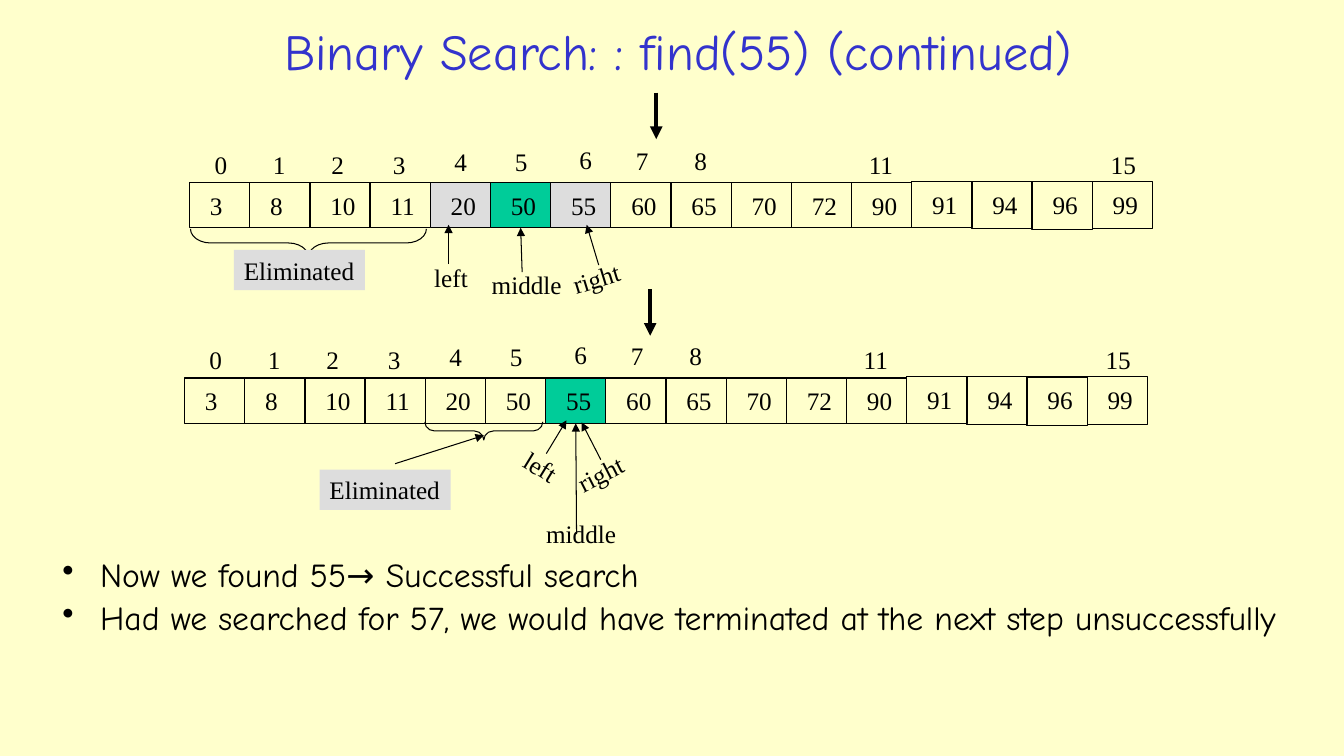
from lxml import etree
from pptx import Presentation
from pptx import util as u
from pptx.dml.color import RGBColor
from pptx.enum import shapes, text
from pptx.oxml.ns import qn

INK, PAPER, TITLE, GREY, GREEN = "000000", "FFFFCC", "3333CC", "DDDDDD", "00CC99"
VALUES = [3, 8, 10, 11, 20, 50, 55, 60, 65, 70, 72, 90, 91, 94, 96, 99]
INDEXES = {0: (1.5, -3.8), 1: (7.3, -3.8), 2: (13.1, -3.8), 3: (19.2, -3.8),
           4: (25.3, -4.1), 5: (31.3, -4.1), 6: (37.7, -4.3), 7: (43.3, -4.2),
           8: (49.1, -4.2), 11: (66.4, -3.8), 15: (90.4, -3.8)}
LAST_HEIGHTS = {12: 4.6, 13: 4.7, 14: 4.8, 15: 4.7}
PITCH = 5.97


def rgb(hex_colour):
    """Turn a hex string into a colour."""
    return RGBColor.from_string(hex_colour)


class Deck:
    """Style and current slide, on a grid of ten columns and rows to the inch."""

    serif, hand, unit = "Times New Roman", "Comic Neue", u.Inches(0.1)

    def __init__(self):
        """Open a presentation with one blank slide."""
        self.prs = Presentation()
        self.prs.slide_width, self.prs.slide_height = self.grid(133.33, 75)
        self.s = self.prs.slides.add_slide(self.prs.slide_layouts[6])
        self.s.background.fill.solid()
        self.s.background.fill.fore_color.rgb = rgb(PAPER)

    def grid(self, *counts):
        """Turn columns and rows into lengths."""
        return [u.Emu(round(n * self.unit)) for n in counts]

    def run(self, p, words, size, font, colour):
        """Add a styled run to a paragraph."""
        r = p.add_run()
        r.text = words
        r.font.size, r.font.name = u.Pt(size), font
        r.font.color.rgb = rgb(colour)

    def shape(self, kind, x, y, w, h, fill=None):
        """Add a thinly outlined preset shape."""
        sp = self.s.shapes.add_shape(kind, *self.grid(x, y, w, h))
        sp.shadow.inherit = False
        sp.line.color.rgb, sp.line.width = rgb(INK), u.Pt(0.75)
        if fill:
            sp.fill.solid()
            sp.fill.fore_color.rgb = rgb(fill)
        else:
            sp.fill.background()
        return sp

    def brace(self, x, y, w, h, bend):
        """Add a brace that points down."""
        sp = self.shape(shapes.MSO_SHAPE.LEFT_BRACE, x, y, w, h)
        sp.rotation = 270
        sp.adjustments[0] = bend

    def label(self, words, x, y, w, fill=None, turn=0):
        """Add a one-line label."""
        sp = self.s.shapes.add_textbox(*self.grid(x, y, w, 4))
        sp.rotation = turn
        if fill:
            sp.fill.solid()
            sp.fill.fore_color.rgb = rgb(fill)
        tf = sp.text_frame
        tf.word_wrap = False
        tf.auto_size = text.MSO_AUTO_SIZE.SHAPE_TO_FIT_TEXT
        self.run(tf.paragraphs[0], words, 18, self.serif, INK)

    def number(self, n, x, y, fill=None):
        """Add a number label sized by its digits."""
        self.label(str(n), x, y, 3.3 if n < 10 else 4.5, fill)

    def arrow(self, x1, y1, x2, y2, width=0.75, target=None):
        """Add an arrow, joined to the underside of a target if given."""
        c = self.s.shapes.add_connector(shapes.MSO_CONNECTOR.STRAIGHT, *self.grid(x1, y1, x2, y2))
        c.line.color.rgb, c.line.width = rgb(INK), u.Pt(width)
        etree.SubElement(c.line._get_or_add_ln(), qn("a:tailEnd"), type="triangle")
        etree.SubElement(c._element.spPr, qn("a:effectLst"))
        if target is not None:
            c.end_connect(target, 2)

    def array(self, x, y, fills):
        """Add the array with its indexes and return the cells."""
        cells = []
        for i, value in enumerate(VALUES):
            left, top = x + i * PITCH, y - 0.1 * (i in LAST_HEIGHTS)
            fill = fills.get(i)
            cells.append(self.shape(shapes.MSO_SHAPE.RECTANGLE, left, top, 6,
                                    LAST_HEIGHTS.get(i, 4.5), fill))
            self.number(value, left + 1.05, top + 0.25, fill)
        for i, (dx, dy) in INDEXES.items():
            self.number(i, x + dx, y + dy)
        return cells

    def title(self, words, x, y, w, h):
        """Add the centred title."""
        tf = self.s.shapes.add_textbox(*self.grid(x, y, w, h)).text_frame
        tf.word_wrap, tf.vertical_anchor = True, text.MSO_ANCHOR.MIDDLE
        p = tf.paragraphs[0]
        p.alignment = text.PP_ALIGN.CENTER
        self.run(p, words, 36, self.hand, TITLE)

    def bullets(self, lines, x, y, w, h):
        """Add a bulleted list."""
        tf = self.s.shapes.add_textbox(*self.grid(x, y, w, h)).text_frame
        tf.word_wrap = True
        for i, words in enumerate(lines):
            p = tf.add_paragraph() if i else tf.paragraphs[0]
            pPr = p._p.get_or_add_pPr()
            indent = self.grid(3.75)[0]
            pPr.set("marL", str(indent))
            pPr.set("indent", str(-indent))
            etree.SubElement(pPr, qn("a:buChar"), char="•")
            p.line_spacing = 0.9
            p.space_before = u.Pt(4.8 if i else 0)
            self.run(p, words, 24, self.hand, INK)


def main():
    """Build the slide."""
    d = Deck()
    d.title("Binary Search: : find(55) (continued)", 22.5, 1.6, 89.6, 6.7)

    cells = d.array(18.8, 18.1, {4: GREY, 5: GREEN, 6: GREY})
    d.arrow(65.1, 9.2, 65.1, 13.8, 3)
    d.brace(29.2, 12.4, 2.8, 23.4, 0.71)
    d.label("Eliminated", 23.2, 24.8, 13, GREY)
    d.arrow(44.5, 26.2, 44.5, 22.3)
    d.label("left", 42.1, 25.5, 5.3)
    d.arrow(51.8, 27, 51.8, 22.6, target=cells[5])
    d.label("middle", 47.8, 26.2, 9)
    d.arrow(59.4, 26.3, 58.2, 22.3)
    d.label("right", 55.8, 25.6, 6.7, turn=342.9)

    cells = d.array(18.3, 37.5, {6: GREEN})
    d.arrow(64.5, 28.7, 64.5, 33.3, 3)
    d.brace(47.1, 36.9, 1.8, 11.7, 0.53)
    d.label("Eliminated", 31.7, 46.6, 13, GREY)
    d.arrow(39.2, 46, 48, 43.2)
    d.arrow(54.2, 45, 56.2, 41.7)
    d.label("left", 51, 44.3, 5.3, turn=31.6)
    d.arrow(59.6, 45.6, 57.7, 41.9)
    d.label("right", 56.2, 45, 6.7, turn=332.9)
    d.arrow(57.2, 53, 57.2, 41.7, target=cells[6])
    d.label("middle", 53.2, 50.9, 9)

    d.bullets(["Now we found 55→ Successful search",
               "Had we searched for 57, we would have terminated at the next step unsuccessfully"],
              5.2, 54.9, 124.3, 12.6)
    d.prs.save("out.pptx")


if __name__ == "__main__":
    main()
